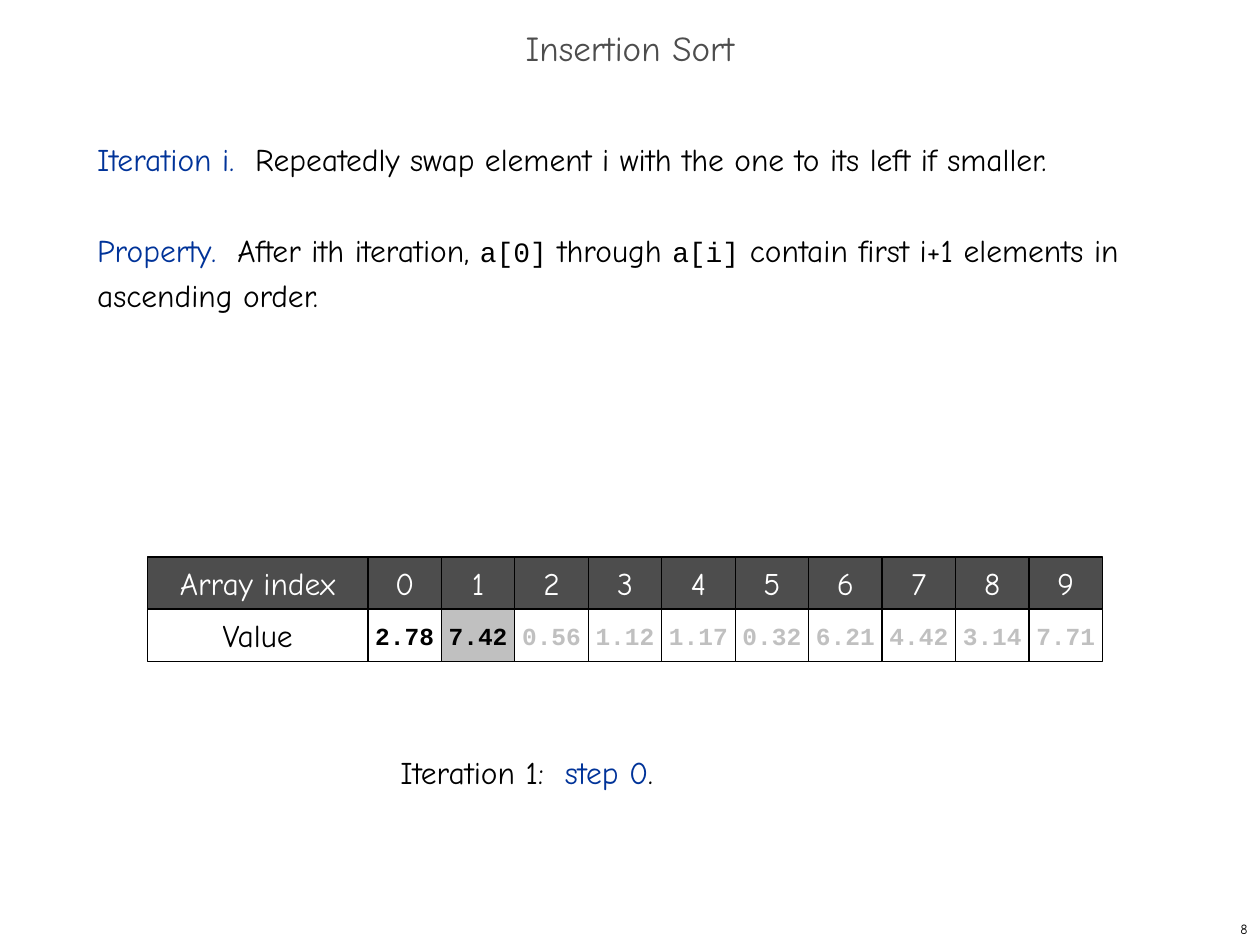
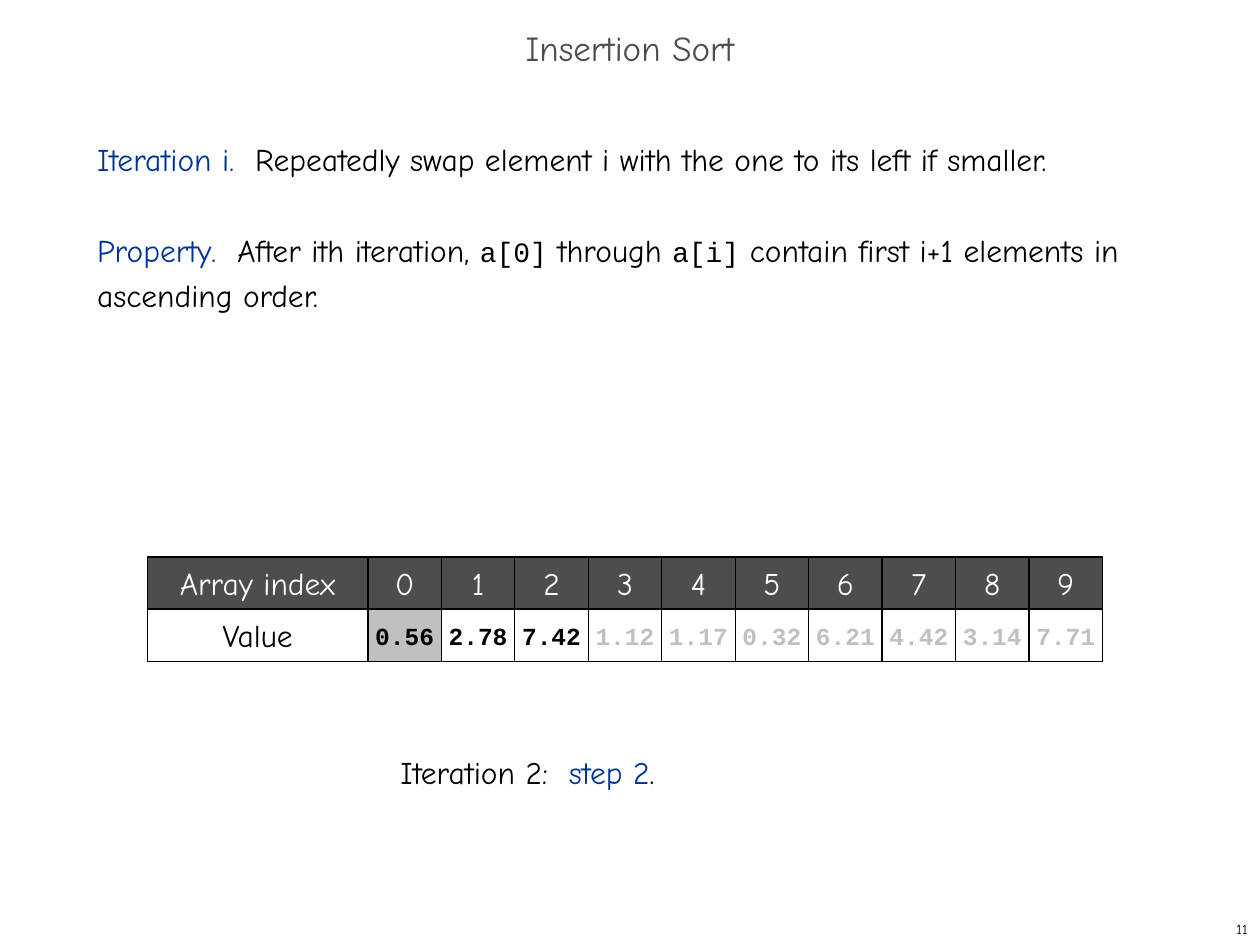
"""Build two slides that trace insertion sort on an array of ten values."""
from dataclasses import dataclass
from typing import Any

from lxml import etree
from pptx import Presentation
from pptx.dml.color import RGBColor
from pptx.enum.shapes import MSO_SHAPE
from pptx.enum.text import MSO_ANCHOR, MSO_AUTO_SIZE, PP_ALIGN
from pptx.oxml.ns import qn
from pptx.util import Inches, Pt

RECTANGLE = MSO_SHAPE.RECTANGLE
TOP, MIDDLE = MSO_ANCHOR.TOP, MSO_ANCHOR.MIDDLE
LEFT, CENTER, RIGHT = PP_ALIGN.LEFT, PP_ALIGN.CENTER, PP_ALIGN.RIGHT
NO_AUTOFIT = MSO_AUTO_SIZE.NONE


@dataclass(frozen=True)
class Theme:
    """Colours, fonts and type sizes of the deck."""
    ink: RGBColor = RGBColor(0x00, 0x00, 0x00)
    paper: RGBColor = RGBColor(0xFF, 0xFF, 0xFF)
    dark: RGBColor = RGBColor(0x4D, 0x4D, 0x4D)
    muted: RGBColor = RGBColor(0xC0, 0xC0, 0xC0)
    accent: RGBColor = RGBColor(0x00, 0x33, 0x99)
    text_font: str = "Comic Neue"
    code_font: str = "Courier New"
    title_size: Pt = Pt(20)
    text_size: Pt = Pt(18)
    code_size: Pt = Pt(16)
    value_size: Pt = Pt(14)
    number_size: Pt = Pt(8)
    body_leading: Pt = Pt(26)
    border: Pt = Pt(0.75)


THEME = Theme()


@dataclass(frozen=True)
class Span:
    """A piece of text in one format."""
    text: str
    color: RGBColor = THEME.ink
    size: Pt = THEME.text_size
    font: str = THEME.text_font
    bold: bool = False


@dataclass(frozen=True)
class Box:
    """A rectangle on the slide, in inches."""
    left: float
    top: float
    width: float
    height: float


@dataclass(frozen=True)
class Step:
    """One state of the array during the sort."""
    page: int
    iteration: int
    step: int
    values: tuple[str, ...]
    current: int


STEPS = (
    Step(8, 1, 0, ("2.78", "7.42", "0.56", "1.12", "1.17",
                   "0.32", "6.21", "4.42", "3.14", "7.71"), current=1),
    Step(11, 2, 2, ("0.56", "2.78", "7.42", "1.12", "1.17",
                    "0.32", "6.21", "4.42", "3.14", "7.71"), current=0),
)


def code(text: str) -> Span:
    """Return a span of inline code."""
    return Span(text, size=THEME.code_size, font=THEME.code_font)


RULES = (
    (Span("Iteration i.  ", THEME.accent),
     Span("Repeatedly swap element i with the one to its left if smaller.")),
    (Span("Property.  ", THEME.accent), Span("After ith iteration, "),
     code("a[0]"), Span(" through "), code("a[i]"),
     Span(" contain first i+1 elements in ascending order.")),
)

TITLE_BOX = Box(0, 0.17, 10, 0.5)
BODY_BOX = Box(0.67, 1, 8.83, 5.92)
CAPTION_BOX = Box(3.08, 5.93, 4.08, 0.4)
NUMBER_BOX = Box(7.92, 7.25, 2.08, 0.25)

ARRAY = Box(1.17, 4.42, 7.58, 0.83)
LABEL_WIDTH = 1.75
CELL_WIDTH = (ARRAY.width - LABEL_WIDTH) / 10
ROW_HEIGHT = ARRAY.height / 2


def apply(target: Any, formats: dict[str, Any]) -> None:
    """Set every named format value on the target."""
    for name, value in formats.items():
        setattr(target, name, value)


def emu(box: Box) -> dict[str, int]:
    """Return the box as position and size values of a shape."""
    return {"left": Inches(box.left), "top": Inches(box.top),
            "width": Inches(box.width), "height": Inches(box.height)}


def write(paragraph: Any, spans: tuple[Span, ...], **formats: Any) -> None:
    """Add the spans to a paragraph and format it."""
    apply(paragraph, formats)
    for span in spans:
        run = paragraph.add_run()
        run.text = span.text
        apply(run.font, {"name": span.font, "size": span.size, "bold": span.bold})
        run.font.color.rgb = span.color


def add_title(slide: Any) -> None:
    """Fill the title placeholder."""
    title = slide.shapes.title
    apply(title, emu(TITLE_BOX))
    apply(title.text_frame, {"vertical_anchor": MIDDLE, "auto_size": NO_AUTOFIT})
    heading = Span("Insertion Sort", THEME.dark, THEME.title_size)
    write(title.text_frame.paragraphs[0], (heading,), alignment=CENTER, line_spacing=0.7)


def add_rules(slide: Any) -> None:
    """Fill the body placeholder with the rules, without bullets."""
    body = slide.placeholders[1]
    apply(body, emu(BODY_BOX))
    frame = body.text_frame
    apply(frame, {"vertical_anchor": TOP, "auto_size": NO_AUTOFIT})
    for index, spans in enumerate(RULES):
        paragraph = frame.add_paragraph() if index else frame.paragraphs[0]
        write(paragraph, spans, alignment=LEFT, line_spacing=THEME.body_leading,
              space_before=THEME.body_leading if index else Pt(0))
        properties = paragraph._p.get_or_add_pPr()
        properties.set("marL", "0")
        properties.set("indent", "0")
        etree.SubElement(properties, qn("a:buNone"))


def add_text(slide: Any, box: Box, spans: tuple[Span, ...],
             alignment: Any = LEFT, anchor: Any = TOP) -> None:
    """Add a wrapping text box of one paragraph."""
    frame = slide.shapes.add_textbox(**emu(box)).text_frame
    apply(frame, {"word_wrap": True, "vertical_anchor": anchor})
    write(frame.paragraphs[0], (spans), alignment=alignment)


def add_cell(shapes: Any, box: Box, fill: RGBColor, label: Span) -> None:
    """Add one bordered cell with a centred label."""
    cell = shapes.add_shape(RECTANGLE, **emu(box))
    cell.shadow.inherit = False
    cell.fill.solid()
    cell.fill.fore_color.rgb = fill
    cell.line.color.rgb = THEME.ink
    cell.line.width = THEME.border
    apply(cell.text_frame, {"word_wrap": False, "vertical_anchor": MIDDLE})
    write(cell.text_frame.paragraphs[0], (label,), alignment=CENTER)


def add_row(shapes: Any, row: int, cells: list[tuple[RGBColor, Span]]) -> None:
    """Add a row of the array: a wide label cell, then equal cells."""
    left, top = ARRAY.left, ARRAY.top + row * ROW_HEIGHT
    for column, (fill, label) in enumerate(cells):
        width = CELL_WIDTH if column else LABEL_WIDTH
        add_cell(shapes, Box(left, top, width, ROW_HEIGHT), fill, label)
        left += width


def add_array(slide: Any, step: Step) -> None:
    """Draw the index row and the values, muting those not yet sorted."""
    names = ["Array index", *map(str, range(len(step.values)))]
    add_row(slide.shapes.add_group_shape().shapes, 0,
            [(THEME.dark, Span(name, THEME.paper)) for name in names])
    cells = [(THEME.paper, Span("Value"))]
    for index, value in enumerate(step.values):
        fill = THEME.muted if index == step.current else THEME.paper
        color = THEME.ink if index <= step.iteration else THEME.muted
        cells.append((fill, Span(value, color, THEME.value_size, THEME.code_font, True)))
    add_row(slide.shapes, 1, cells)


def add_step(deck: Any, step: Step) -> None:
    """Add the slide of one step."""
    slide = deck.slides.add_slide(deck.slide_layouts[1])
    add_title(slide)
    add_rules(slide)
    add_array(slide, step)
    add_text(slide, CAPTION_BOX, (Span(f"Iteration {step.iteration}:  "),
                                  Span(f"step {step.step}", THEME.accent), Span(".")))
    add_text(slide, NUMBER_BOX, (Span(str(step.page), size=THEME.number_size),),
             RIGHT, MIDDLE)


def main() -> None:
    """Build and save the deck."""
    deck = Presentation()
    apply(deck, {"slide_width": Inches(10), "slide_height": Inches(7.5)})
    for step in STEPS:
        add_step(deck, step)
    deck.save("out.pptx")


main()
